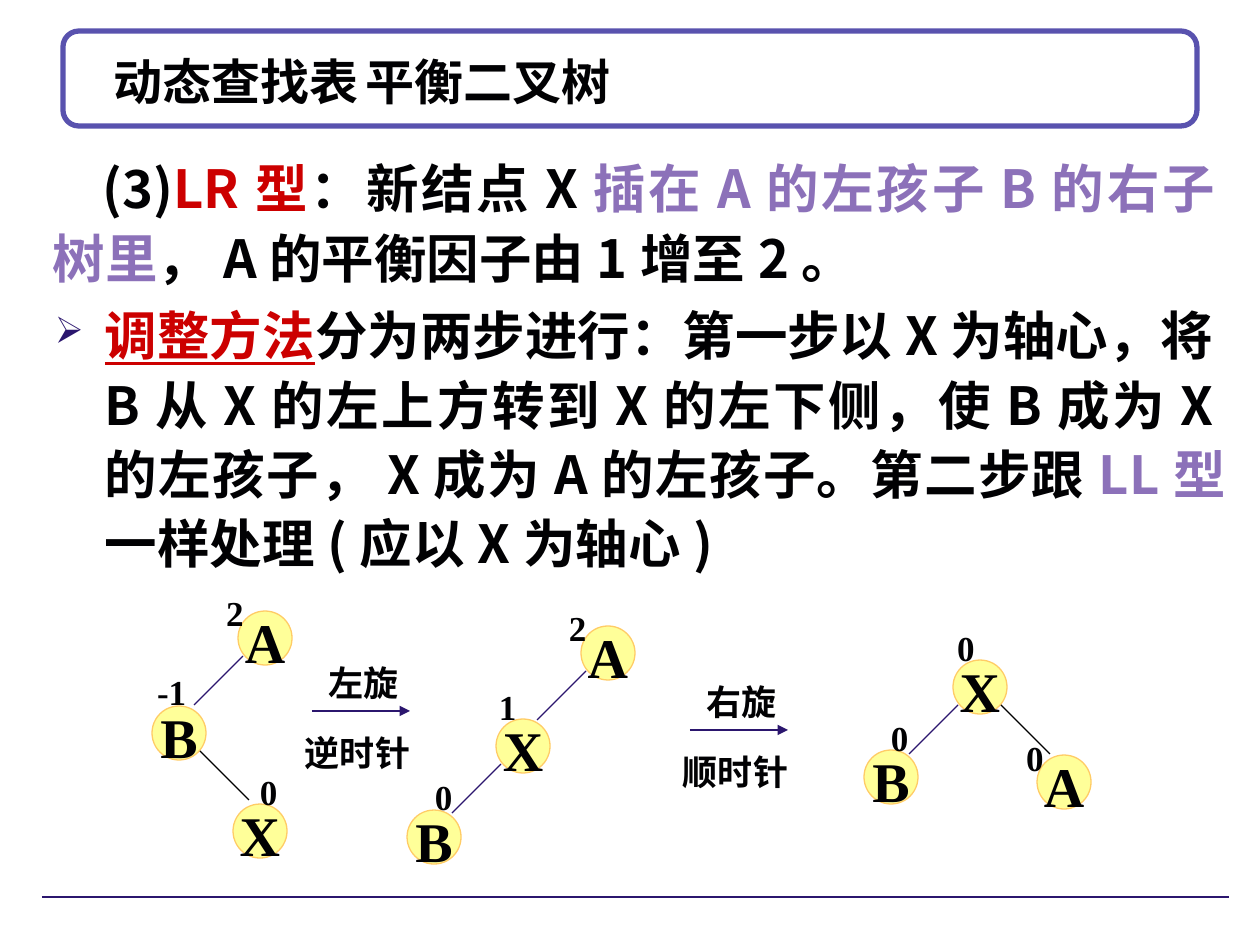
from dataclasses import dataclass
from typing import Optional

from lxml import etree
from pptx import Presentation
from pptx.dml.color import RGBColor
from pptx.enum.shapes import MSO_CONNECTOR, MSO_SHAPE
from pptx.enum.text import MSO_ANCHOR, PP_ALIGN
from pptx.oxml.ns import qn
from pptx.util import Emu, Pt

STRAIGHT = MSO_CONNECTOR.STRAIGHT
ELLIPSE, ROUNDED = MSO_SHAPE.OVAL, MSO_SHAPE.ROUNDED_RECTANGLE
TOP, MIDDLE = MSO_ANCHOR.TOP, MSO_ANCHOR.MIDDLE
LEFT, CENTER, JUSTIFY = PP_ALIGN.LEFT, PP_ALIGN.CENTER, PP_ALIGN.JUSTIFY

PX_PER_INCH = 126
NODE_SIZE = 54
EDGE_SPAN = 49
ARROW_LENGTH = 98


@dataclass(frozen=True)
class Theme:
    ink: str = "010103"
    red: str = "CC0000"
    purple: str = "8C71B9"
    navy: str = "2B166E"
    black: str = "000000"
    white: str = "FFFFFF"
    frame: str = "5952AE"
    node_fill: str = "FFFF99"
    node_line: str = "FFCC66"
    serif: str = "Times New Roman"
    sans: str = "Lato"
    chinese: str = "Noto Sans CJK SC"
    title_size: int = 28
    body_size: int = 30
    node_size: int = 32
    label_size: int = 20


THEME = Theme()


@dataclass(frozen=True)
class Span:
    text: str
    color: str = THEME.ink
    underline: bool = False


@dataclass(frozen=True)
class Node:
    key: str
    x: int
    y: int
    balance: str
    balance_x: int
    balance_y: int
    has_left: bool = False
    has_right: bool = False


@dataclass(frozen=True)
class Rotation:
    name: str
    direction: str
    x: int
    y: int


TREES = [
    [Node("A", 238, 611, "2", 213, 581, has_left=True),
     Node("B", 152, 706, "-1", 144, 660, has_right=True),
     Node("X", 233, 804, "0", 247, 760)],
    [Node("A", 581, 626, "2", 556, 596, has_left=True),
     Node("X", 496, 719, "1", 486, 675, has_left=True),
     Node("B", 407, 810, "0", 422, 765)],
    [Node("X", 953, 660, "0", 944, 616, has_left=True, has_right=True),
     Node("B", 864, 750, "0", 878, 706),
     Node("A", 1037, 755, "0", 1013, 726)],
]

ROTATIONS = [Rotation("左旋", "逆时针", 312, 711),
             Rotation("右旋", "顺时针", 690, 730)]

LR_CASE = [Span("(3)"), Span("LR型", THEME.red), Span("：新结点X"),
           Span("插在A的左孩子B的右子树里", THEME.purple),
           Span("，A的平衡因子由1增至2。")]

ADJUSTMENT = [
    Span("调整方法", THEME.red, underline=True),
    Span("分为两步进行：第一步以X为轴心，将B从X的左上方转到X的左下侧，"
         "使B成为X的左孩子，X成为A的左孩子。第二步跟"),
    Span("LL型", THEME.purple),
    Span("一样处理(应以X为轴心)"),
]


def px(length: int) -> Emu:
    return Emu(round(length * 914400 / PX_PER_INCH))


def rgb(color: str) -> RGBColor:
    return RGBColor.from_string(color)


def write_text(shape, spans: list[Span], *, size: int, font: str,
               align=LEFT, anchor=TOP, spacing: float = 1.1,
               wrap: bool = True, margin: int = 13, hanging: int = 0,
               first_line: int = 0, bullet: Optional[str] = None,
               right_tab: Optional[int] = None) -> None:
    frame = shape.text_frame
    frame.word_wrap = wrap
    frame.vertical_anchor = anchor
    frame.margin_left = frame.margin_right = px(margin)
    frame.margin_top = frame.margin_bottom = px(margin // 2)
    paragraph = frame.paragraphs[0]
    paragraph.alignment = align
    paragraph.line_spacing = spacing
    properties = paragraph._p.get_or_add_pPr()
    properties.set("marL", str(px(hanging)))
    properties.set("indent", str(px(first_line)))
    if bullet:
        color = etree.SubElement(properties, qn("a:buClr"))
        etree.SubElement(color, qn("a:srgbClr"), val=THEME.navy)
        etree.SubElement(properties, qn("a:buSzPct"), val="70000")
        etree.SubElement(properties, qn("a:buChar"), char=bullet)
    if right_tab:
        tabs = etree.SubElement(properties, qn("a:tabLst"))
        etree.SubElement(tabs, qn("a:tab"), pos=str(px(right_tab)), algn="r")
    for span in spans:
        run = paragraph.add_run()
        run.text = span.text
        run.font.size = Pt(size)
        run.font.bold = True
        run.font.name = font
        run.font.color.rgb = rgb(span.color)
        if span.underline:
            run.font.underline = True
        etree.SubElement(run._r.get_or_add_rPr(), qn("a:ea"),
                         typeface=THEME.chinese)


def add_text(shapes, spans: list[Span], x: int, y: int, width: int,
             height: int, **text_format) -> None:
    box = shapes.add_textbox(px(x), px(y), px(width), px(height))
    write_text(box, spans, **text_format)


def add_outlined(shapes, kind, x: int, y: int, width: int, height: int, *,
                 fill: str, line: str, weight: float):
    shape = shapes.add_shape(kind, px(x), px(y), px(width), px(height))
    shape.shadow.inherit = False
    shape.fill.solid()
    shape.fill.fore_color.rgb = rgb(fill)
    shape.line.color.rgb = rgb(line)
    shape.line.width = Pt(weight)
    return shape


def add_line(shapes, x1: int, y1: int, x2: int, y2: int,
             color: str = THEME.navy, arrow: bool = False) -> None:
    line = shapes.add_connector(STRAIGHT, px(x1), px(y1), px(x2), px(y2))
    line.line.color.rgb = rgb(color)
    line.line.width = Pt(0.75)
    if arrow:
        etree.SubElement(line.line._get_or_add_ln(), qn("a:tailEnd"),
                         type="triangle")
    etree.SubElement(line._element.spPr, qn("a:effectLst"))


def add_tree(shapes, nodes: list[Node]) -> None:
    """Draw the circles with their edges and balance factors as one group."""
    group = shapes.add_group_shape().shapes
    for node in nodes:
        circle = add_outlined(group, ELLIPSE, node.x, node.y, NODE_SIZE,
                              NODE_SIZE, fill=THEME.node_fill,
                              line=THEME.node_line, weight=0.75)
        write_text(circle, [Span(node.key)], size=THEME.node_size,
                   font=THEME.serif, align=CENTER, anchor=MIDDLE, wrap=False)
    for node in nodes:
        top = node.y + 45
        if node.has_left:
            start = node.x + 5
            add_line(group, start, top, start - EDGE_SPAN, top + EDGE_SPAN)
        if node.has_right:
            start = node.x + 48
            add_line(group, start, top, start + EDGE_SPAN, top + EDGE_SPAN,
                     THEME.black)
        add_text(group, [Span(node.balance)], node.balance_x, node.balance_y,
                 19 + 25 * len(node.balance), 59,
                 size=THEME.label_size, font=THEME.serif)


def add_rotation(shapes, step: Rotation) -> None:
    """Draw an arrow with its name above and its direction below."""
    group = shapes.add_group_shape().shapes
    add_line(group, step.x, step.y, step.x + ARROW_LENGTH, step.y, arrow=True)
    for label, dx, dy, width in ((step.name, 4, -60, 100),
                                 (step.direction, -20, 10, 149)):
        add_text(group, [Span(label)], step.x + dx, step.y + dy, width, 59,
                 size=THEME.label_size, font=THEME.sans)


def main() -> None:
    deck = Presentation()
    deck.slide_width, deck.slide_height = px(1260), px(945)
    shapes = deck.slides.add_slide(deck.slide_layouts[6]).shapes

    add_outlined(shapes, ROUNDED, 63, 31, 1134, 95, fill=THEME.white,
                 line=THEME.frame, weight=3)
    add_line(shapes, 42, 897, 1229, 897)
    add_text(shapes, [Span("动态查找表\t平衡二叉树")], 114, 42, 1060, 78,
             size=THEME.title_size, font=THEME.serif, anchor=MIDDLE,
             spacing=1.0, margin=0, right_tab=1032)
    add_text(shapes, LR_CASE, 40, 144, 1188, 151, size=THEME.body_size,
             font=THEME.chinese, align=JUSTIFY, first_line=50)
    for tree in TREES:
        add_tree(shapes, tree)
    for step in ROTATIONS:
        add_rotation(shapes, step)
    add_text(shapes, ADJUSTMENT, 42, 291, 1197, 290, size=THEME.body_size,
             font=THEME.chinese, align=JUSTIFY, hanging=50, first_line=-50,
             bullet="➢")
    deck.save("out.pptx")


if __name__ == "__main__":
    main()
